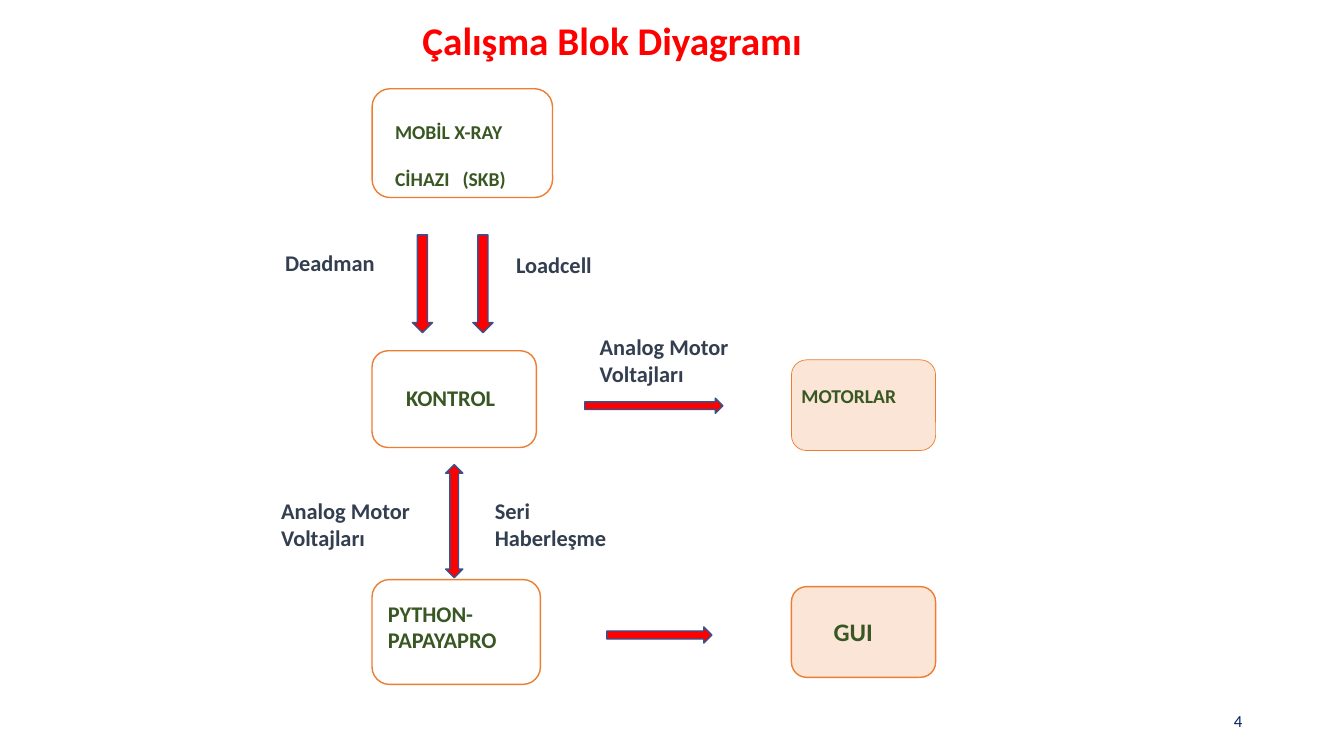
from pptx import Presentation, util as u
from pptx.dml.color import RGBColor
from pptx.enum import shapes, text
from pptx.oxml.ns import qn
from lxml import etree

Kind = shapes.MSO_SHAPE
Side = text.PP_ALIGN
Hold = text.MSO_ANCHOR


def hue(code):
    return RGBColor.from_string(code)


def inch(*spots):
    return [u.Inches(spot) for spot in spots]


class Chart:
    GREEN, SLATE, RED = "385723", "333F50", "FF0000"
    PEACH, WHITE, RUST, BLUE = "FBE5D6", "FFFFFF", "ED7D31", "325491"
    FACE = "Calibri"

    def __init__(self, deck):
        self.page = deck.slides.add_slide(deck.slide_layouts[5])

    def words(self, item, lines, size, tint, bold=True, side=Side.LEFT,
              hold=Hold.TOP, gap=0, stop=None):
        frame = item.text_frame
        frame.word_wrap = True
        frame.auto_size = text.MSO_AUTO_SIZE.NONE
        frame.vertical_anchor = hold
        for rank, line in enumerate(lines):
            para = frame.paragraphs[0] if rank == 0 else frame.add_paragraph()
            para.alignment = side
            para.space_before = u.Pt(gap if rank else 0)
            if stop:
                tabs = etree.SubElement(para._p.get_or_add_pPr(), qn("a:tabLst"))
                etree.SubElement(tabs, qn("a:tab"), pos=str(u.Inches(stop)), algn="l")
            run = para.add_run()
            run.text = line
            form = {"name": self.FACE, "size": u.Pt(size), "bold": bold}
            for key, value in form.items():
                setattr(run.font, key, value)
            run.font.color.rgb = hue(tint)

    def title(self, spot, line):
        head = self.page.shapes.title
        for key, value in zip(("left", "top", "width", "height"), inch(*spot)):
            setattr(head, key, value)
        self.words(head, [line], 28, self.RED)

    def shape(self, kind, spot, fill, edge=None, width=1):
        item = self.page.shapes.add_shape(kind, *inch(*spot))
        item.shadow.inherit = False
        item.fill.solid()
        item.fill.fore_color.rgb = hue(fill)
        if edge:
            item.line.color.rgb = hue(edge)
            item.line.width = u.Pt(width)
        else:
            item.line.fill.background()
        return item

    def block(self, spot, fill, width=1):
        self.shape(Kind.ROUNDED_RECTANGLE, spot, fill, self.RUST, width)

    def arrow(self, kind, spot):
        self.shape(kind, spot, self.RED, self.BLUE)

    def label(self, spot, lines, size=16, tint=SLATE, **form):
        box = self.page.shapes.add_textbox(*inch(*spot))
        self.words(box, lines, size, tint, **form)


def main():
    deck = Presentation()
    deck.slide_width, deck.slide_height = inch(13.33, 7.5)
    flow = Chart(deck)
    flow.title((4.09, 0.11, 6.89, 0.57), "Çalışma Blok Diyagramı")

    for top, wide, high in [(0.88, 1.79, 1.08), (3.48, 1.63, 0.96), (5.75, 1.67, 1.04)]:
        flow.block((3.69, top, wide, high), flow.WHITE)
    for top, width in [(3.57, 0.5), (5.82, 1)]:
        flow.block((7.85, top, 1.43, 0.9), flow.PEACH, width)

    for left in (4.09, 4.69):
        flow.arrow(Kind.DOWN_ARROW, (left, 2.33, 0.2, 0.97))
    flow.arrow(Kind.UP_DOWN_ARROW, (4.42, 4.61, 0.17, 1.12))
    flow.arrow(Kind.RIGHT_ARROW, (5.8, 3.95, 1.37, 0.15))
    flow.arrow(Kind.RIGHT_ARROW, (6.02, 6.22, 1.04, 0.16))

    flow.label((3.82, 1.14, 1.54, 0.57), ["MOBİL X-RAY", "CİHAZI\t(SKB)"], 14,
               flow.GREEN, gap=17, stop=0.67)
    flow.label((3.93, 3.76, 1.15, 0.37), ["KONTROL"], tint=flow.GREEN)
    flow.label((3.75, 5.9, 1.5, 0.64), ["PYTHON-", "PAPAYAPRO"], tint=flow.GREEN)
    flow.label((7.85, 3.76, 1.16, 0.34), ["MOTORLAR"], 14, flow.GREEN)
    plate = flow.shape(Kind.RECTANGLE, (8.17, 6.07, 0.94, 0.4), flow.PEACH)
    flow.words(plate, ["GUI"], 18, flow.GREEN)

    flow.label((5.02, 2.44, 1.15, 0.37), ["Loadcell"])
    flow.label((2.73, 2.42, 1.3, 0.37), ["Deadman"])
    flow.label((4.81, 4.88, 1.34, 0.64), ["Seri Haberleşme"])
    for left, top in [(2.69, 4.88), (5.85, 3.26)]:
        flow.label((left, top, 2, 0.64), ["Analog Motor Voltajları"])
    flow.label((9.42, 6.95, 3, 0.4), ["4"], 12, "002060", bold=False,
               side=Side.RIGHT, hold=Hold.MIDDLE)
    deck.save("out.pptx")


if __name__ == "__main__":
    main()
